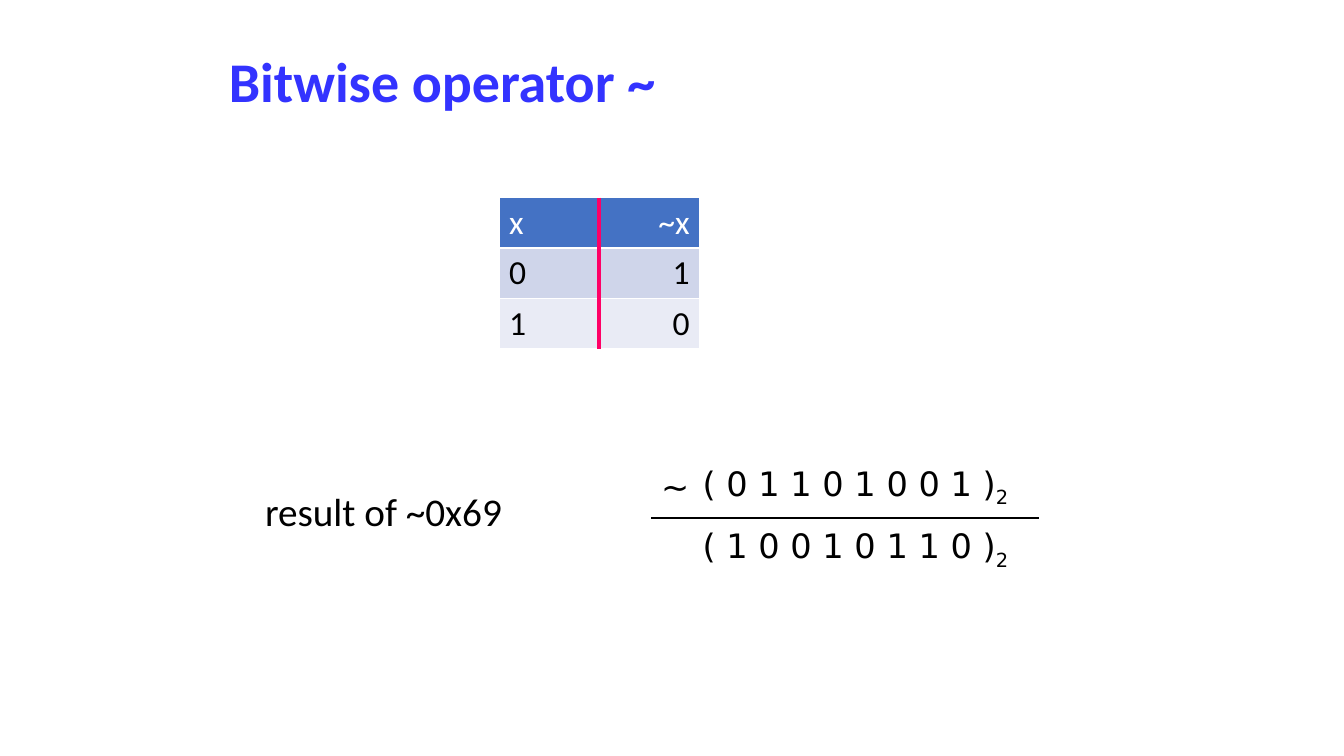
"""Build a slide that explains the bitwise complement operator."""
from lxml import etree
from pptx import Presentation, util as u
from pptx.dml.color import RGBColor
from pptx.enum import shapes, text
from pptx.oxml.ns import qn


def colour(value):
    """Turn a hex string into a colour."""
    return RGBColor.from_string(value)


class SlideBuilder:
    """Hold the style and the current slide."""
    sans, mono = "Calibri", "DejaVu Sans"
    black, white, blue, pink = "000000", "FFFFFF", "3333FF", "FF0066"
    row_fills = ("4472C4", "CFD5EA", "E9EBF5")

    def __init__(self, deck):
        """Add a title-only slide to the deck."""
        self.slide = deck.slides.add_slide(deck.slide_layouts[5])

    def style(self, para, size, name, ink, bold=False):
        """Set the font of a paragraph."""
        font = para.font
        font.size, font.name, font.bold = u.Pt(size), name, bold
        font.color.rgb = colour(ink)

    def title(self, words, left, top, width, height):
        """Move, fill and format the title placeholder."""
        box = self.slide.shapes.title
        box.left, box.top = u.Inches(left), u.Inches(top)
        box.width, box.height = u.Inches(width), u.Inches(height)
        frame = box.text_frame
        frame.text = words
        frame.vertical_anchor = text.MSO_ANCHOR.MIDDLE
        para = frame.paragraphs[0]
        para.alignment = text.PP_ALIGN.LEFT
        para.line_spacing = 0.9
        self.style(para, 40, self.sans, self.blue, bold=True)

    def label(self, words, left, top, width, height, size, name, subscript=""):
        """Add one line of text with an optional subscript."""
        box = self.slide.shapes.add_textbox(
            u.Inches(left), u.Inches(top), u.Inches(width), u.Inches(height))
        frame = box.text_frame
        frame.word_wrap = False
        frame.auto_size = text.MSO_AUTO_SIZE.SHAPE_TO_FIT_TEXT
        para = frame.paragraphs[0]
        para.add_run().text = words
        if subscript:
            span = para.add_run()
            span.text = subscript
            span._r.get_or_add_rPr().set("baseline", "-25000")
        self.style(para, size, name, self.black)

    def line(self, start, end, ink, weight):
        """Draw a straight line between two points."""
        rule = self.slide.shapes.add_connector(
            shapes.MSO_CONNECTOR.STRAIGHT, *map(u.Inches, (*start, *end)))
        rule.line.color.rgb = colour(ink)
        rule.line.width = u.Pt(weight)
        etree.SubElement(rule._element.spPr, qn("a:effectLst"))

    def table(self, rows, left, top, width, height):
        """Add a truth table with one fill for each row."""
        grid = self.slide.shapes.add_table(
            len(rows), len(rows[0]), u.Inches(left), u.Inches(top),
            u.Inches(width), u.Inches(height)).table
        aligns = (text.PP_ALIGN.LEFT, text.PP_ALIGN.RIGHT)
        for row, values in enumerate(rows):
            for column, value in enumerate(values):
                cell = grid.cell(row, column)
                cell.text = value
                cell.fill.solid()
                cell.fill.fore_color.rgb = colour(self.row_fills[row])
                para = cell.text_frame.paragraphs[0]
                para.alignment = aligns[column]
                self.style(para, 24, self.sans, self.black if row else self.white)


def main():
    """Build and save the deck."""
    deck = Presentation()
    deck.slide_width, deck.slide_height = u.Inches(13.33), u.Inches(7.5)
    page = SlideBuilder(deck)
    page.title("Bitwise operator ~", 2.17, 0.21, 9, 1.25)
    for bits, top in (("01101001", 4.54), ("10010110", 5.16)):
        page.label(f"( {' '.join(bits)} )", 6.87, top, 3.43, 0.5, 24, page.mono, "2")
    page.label("~", 6.46, 4.57, 0.48, 0.5, 24, page.mono)
    page.line((6.46, 5.14), (10.3, 5.14), page.black, 1)
    page.label("result of ~0x69", 2.53, 4.79, 2.58, 0.57, 28, page.sans)
    page.table((("x", "~x"), ("0", "1"), ("1", "0")), 4.95, 1.96, 1.99, 1.5)
    page.line((5.94, 1.96), (5.94, 3.46), page.pink, 3)
    deck.save("out.pptx")


if __name__ == "__main__":
    main()
